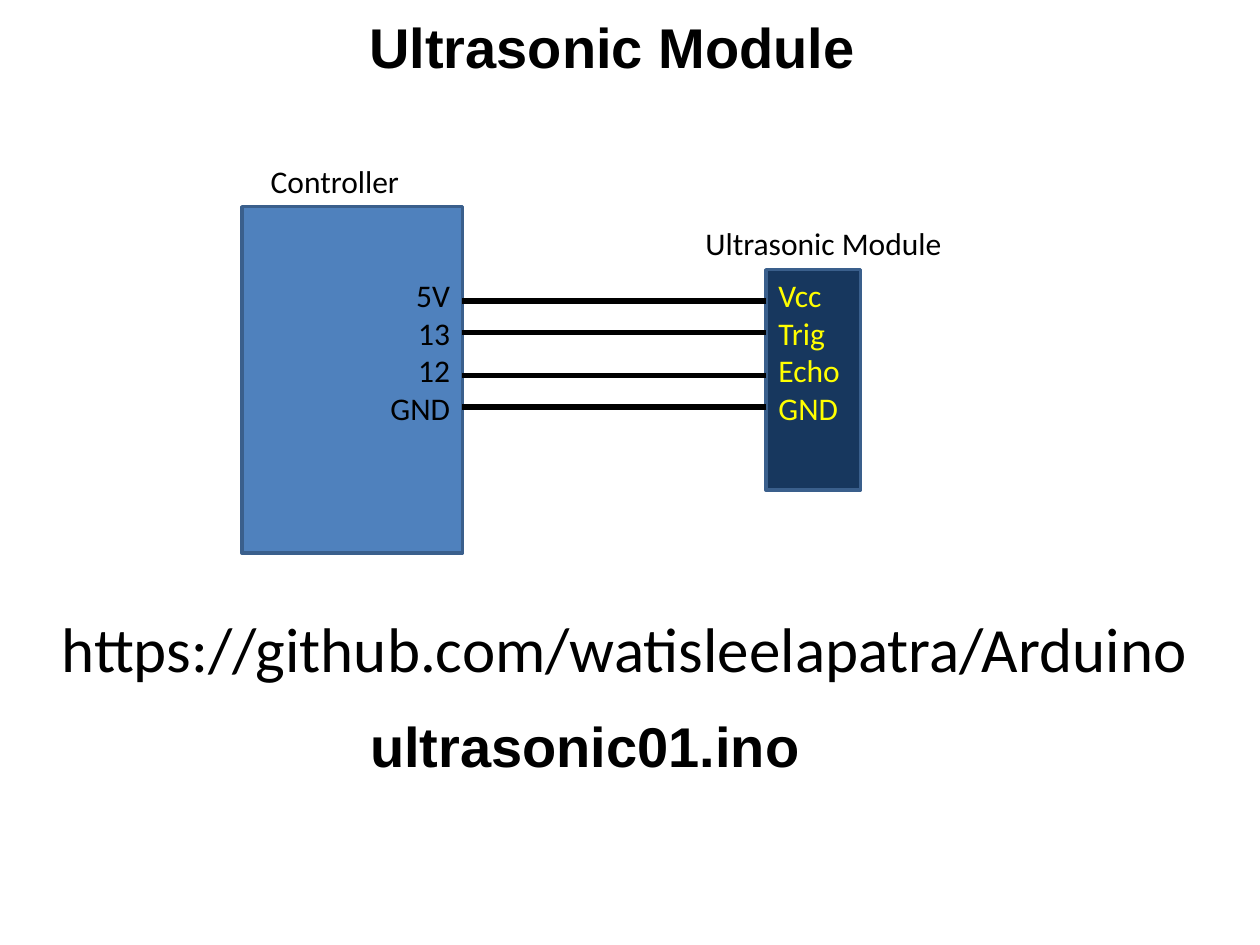
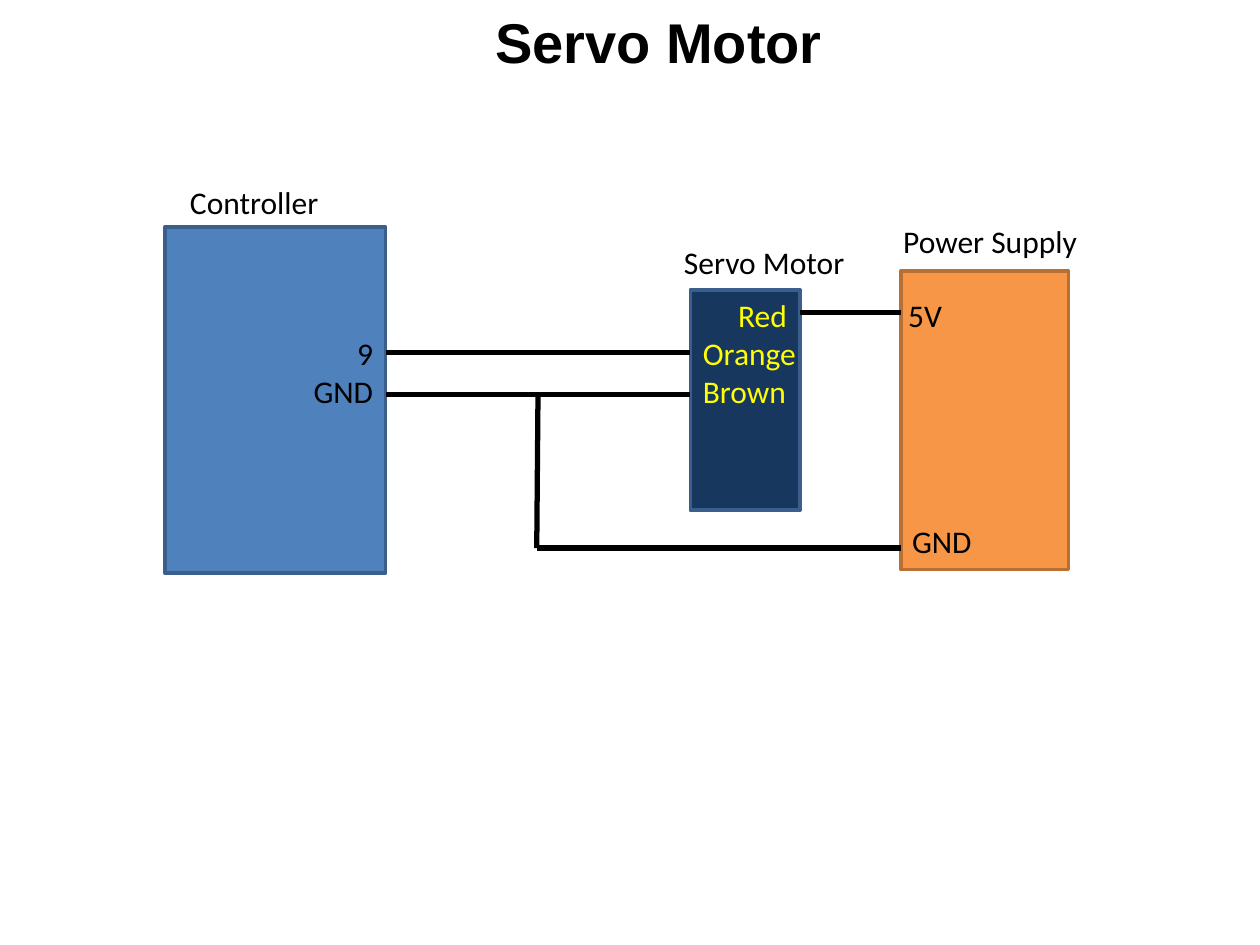
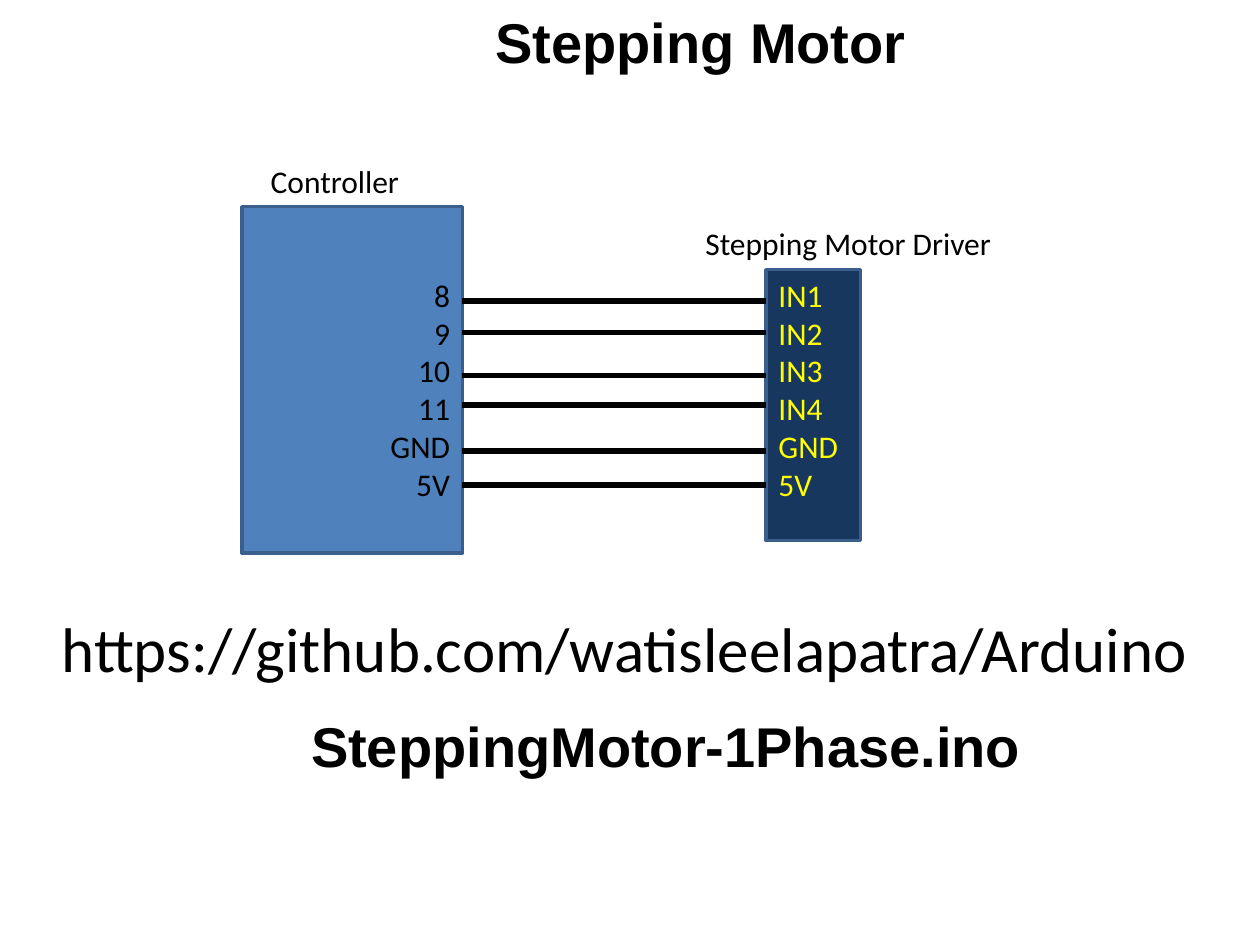
from dataclasses import dataclass

import pptx
import pptx.dml.color
import pptx.enum.shapes
import pptx.enum.text
import pptx.oxml
import pptx.presentation
import pptx.shapes.autoshape
import pptx.slide
import pptx.text.text
import pptx.util

Inches = pptx.util.Inches
RGBColor = pptx.dml.color.RGBColor
Align = pptx.enum.text.PP_ALIGN
Box = pptx.shapes.autoshape.Shape

BLACK = RGBColor(0x00, 0x00, 0x00)
YELLOW = RGBColor(0xFF, 0xFF, 0x00)
BLUE = RGBColor(0x4F, 0x81, 0xBD)
NAVY = RGBColor(0x17, 0x37, 0x5E)
BLUE_EDGE = RGBColor(0x3A, 0x5F, 0x8C)
ORANGE = RGBColor(0xF7, 0x96, 0x46)
ORANGE_EDGE = RGBColor(0xB7, 0x6F, 0x34)

HEADING_FONT = "Arial"
BODY_FONT = "Calibri"
TITLE_ONLY_LAYOUT = 5
TOP, LEFT, BOTTOM, RIGHT = range(4)
SNAP = 0.02

REPOSITORY = "https://github.com/watisleelapatra/Arduino"


@dataclass(frozen=True)
class Device:
    """A labelled rectangle; all lengths are in inches."""
    label: str
    label_left: float
    label_width: float
    left: float
    top: float
    width: float
    height: float
    fill: RGBColor
    edge: RGBColor = BLUE_EDGE
    label_rise: float = 0.41

    @property
    def right(self) -> float:
        return self.left + self.width

    @property
    def middle(self) -> float:
        return self.top + self.height / 2


def controller(left: float, top: float, label_left: float) -> Device:
    return Device("Controller", label_left, 1.57, left, top, 1.75, 2.75, BLUE, label_rise=0.4)


def format_text(frame: pptx.text.text.TextFrame, lines: list[str], *, size: int = 18,
                font: str = BODY_FONT, color: RGBColor = BLACK, bold: bool = False,
                align: Align = Align.LEFT) -> None:
    frame.word_wrap = False
    frame.auto_size = pptx.enum.text.MSO_AUTO_SIZE.SHAPE_TO_FIT_TEXT
    frame.vertical_anchor = pptx.enum.text.MSO_ANCHOR.TOP
    for index, line in enumerate(lines):
        para = frame.add_paragraph() if index else frame.paragraphs[0]
        para.alignment = align
        span = para.add_run()
        span.text = line
        span.font.name = font
        span.font.size = pptx.util.Pt(size)
        span.font.bold = bold
        span.font.color.rgb = color


def text_height(size: int, rows: int = 1) -> float:
    return 0.1 + rows * size * 1.22 / 72


def add_text(page: pptx.slide.Slide, lines: list[str], left: float, top: float, width: float,
             *, size: int = 18, **style) -> Box:
    height = text_height(size, len(lines))
    box = page.shapes.add_textbox(Inches(left), Inches(top), Inches(width), Inches(height))
    format_text(box.text_frame, lines, size=size, **style)
    return box


def add_titled_page(deck: pptx.presentation.Presentation, title: str, left: float, top: float,
                    width: float) -> pptx.slide.Slide:
    page = deck.slides.add_slide(deck.slide_layouts[TITLE_ONLY_LAYOUT])
    box = page.shapes.title
    box.left, box.top, box.width = Inches(left), Inches(top), Inches(width)
    box.height = Inches(text_height(32))
    format_text(box.text_frame, [title], size=32, font=HEADING_FONT, bold=True)
    return page


def add_device(page: pptx.slide.Slide, device: Device) -> Box:
    box = page.shapes.add_shape(
        pptx.enum.shapes.MSO_SHAPE.RECTANGLE, Inches(device.left), Inches(device.top),
        Inches(device.width), Inches(device.height))
    box.shadow.inherit = False
    box.fill.solid()
    box.fill.fore_color.rgb = device.fill
    box.line.color.rgb = device.edge
    box.line.width = pptx.util.Pt(2)
    add_text(page, [device.label], device.label_left, device.top - device.label_rise,
             device.label_width)
    return box


def add_line(page: pptx.slide.Slide, start: tuple[float, float], end: tuple[float, float]):
    line = page.shapes.add_connector(
        pptx.enum.shapes.MSO_CONNECTOR.STRAIGHT, Inches(start[0]), Inches(start[1]),
        Inches(end[0]), Inches(end[1]))
    line.line.color.rgb = BLACK
    line.line.width = pptx.util.Pt(3)
    properties = line._element.spPr
    properties.append(pptx.oxml.parse_xml(
        '<a:effectLst xmlns:a="http://schemas.openxmlformats.org/drawingml/2006/main"/>'))
    return line


def add_wires(page: pptx.slide.Slide, source: Device, target: Device, heights: list[float],
              source_box: Box, target_box: Box) -> None:
    """Run level wires from target to source, joined where they meet a side's middle."""
    for height in heights:
        for device in (source, target):
            if abs(height - device.middle) < SNAP:
                height = device.middle
        wire = add_line(page, (target.left, height), (source.right, height))
        if height == target.middle:
            wire.begin_connect(target_box, LEFT)
        if height == source.middle:
            wire.end_connect(source_box, RIGHT)


def add_module_page(deck: pptx.presentation.Presentation, title: str,
                    title_place: tuple[float, float, float], module: Device,
                    pins: dict[str, str], wire_heights: list[float],
                    sketch: str, sketch_left: float, sketch_width: float) -> None:
    """Add a page that wires the controller's pins (keys) to a module's pins (values)."""
    page = add_titled_page(deck, title, *title_place)
    board = controller(1.92, 1.64, 2.05)
    board_box = add_device(page, board)
    module_box = add_device(page, module)
    add_wires(page, board, module, wire_heights, board_box, module_box)
    add_text(page, list(pins.values()), module.left, module.top, 0.69, color=YELLOW)
    add_text(page, list(pins), board.right - 0.68, module.top, 0.68, align=Align.RIGHT)
    add_text(page, [REPOSITORY], 0.39, 4.79, 9.23, size=36)
    add_text(page, [sketch], sketch_left, 5.6, sketch_width, size=32,
             font=HEADING_FONT, bold=True)


def add_servo_page(deck: pptx.presentation.Presentation) -> None:
    page = add_titled_page(deck, "Servo Motor", 3.83, 0.01, 2.82)
    board = controller(1.31, 1.8, 1.41)
    servo = Device("Servo Motor", 5.33, 1.49, 5.48, 2.3, 0.87, 1.75, NAVY, label_rise=0.42)
    supply = Device("Power Supply", 7.07, 1.6, 7.15, 2.15, 1.33, 2.37, ORANGE, ORANGE_EDGE,
                    label_rise=0.44)
    board_box, servo_box, _ = [add_device(page, device) for device in (board, servo, supply)]

    add_wires(page, board, servo, [2.8, 3.13], board_box, servo_box)
    add_line(page, (supply.left, 2.48), (servo.right, 2.48))
    ground_corner = (4.26, 4.35)
    add_line(page, ground_corner, (4.27, 3.15))
    add_line(page, (supply.left, 4.35), ground_corner)

    servo_pins = add_text(page, ["Red", "Orange", "Brown"], servo.left, servo.top, 0.95,
                          color=YELLOW)
    red = servo_pins.text_frame.paragraphs[0]
    red._p.get_or_add_pPr().set("marL", str(Inches(0.28)))
    add_text(page, ["9", "GND"], board.right - 0.68, 2.6, 0.68, align=Align.RIGHT)
    add_text(page, ["5V"], 7.11, 2.3, 0.47)
    add_text(page, ["GND"], 7.13, 4.09, 0.68, align=Align.RIGHT)


def main() -> None:
    deck = pptx.Presentation()
    deck.slide_width, deck.slide_height = Inches(10), Inches(7.5)
    wire_heights = [2.39, 2.64, 2.98, 3.23]

    add_module_page(
        deck, "Ultrasonic Module", (2.83, 0.05, 4.08),
        Device("Ultrasonic Module", 5.5, 2.1, 6.08, 2.14, 0.75, 1.75, NAVY),
        {"5V": "Vcc", "13": "Trig", "12": "Echo", "GND": "GND"},
        wire_heights, "ultrasonic01.ino", 2.84, 3.64)
    add_servo_page(deck)
    add_module_page(
        deck, "Stepping Motor", (3.83, 0.01, 3.49),
        Device("Stepping Motor Driver", 5.5, 2.5, 6.08, 2.14, 0.75, 2.15, NAVY),
        {"8": "IN1", "9": "IN2", "10": "IN3", "11": "IN4", "GND": "GND", "5V": "5V"},
        wire_heights + [3.58, 3.85], "SteppingMotor-1Phase.ino", 2.37, 5.88)

    deck.save("out.pptx")


if __name__ == "__main__":
    main()
